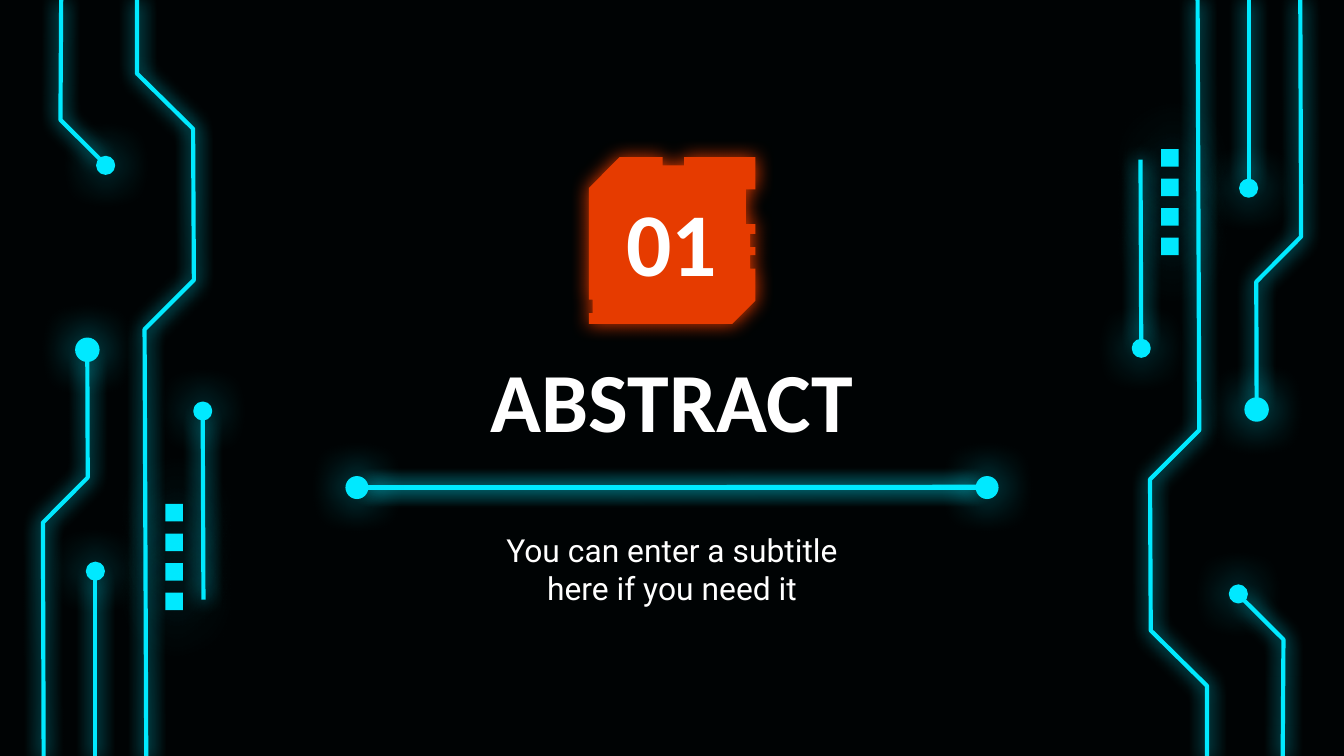
from dataclasses import dataclass

from lxml.etree import SubElement
from pptx import Presentation
from pptx.dml.color import RGBColor
from pptx.enum.shapes import MSO_CONNECTOR, MSO_SHAPE
from pptx.enum.text import MSO_ANCHOR, PP_ALIGN
from pptx.oxml.ns import qn
from pptx.util import Pt

Point = tuple[float, float]


@dataclass(frozen=True)
class Theme:
    background: str = "000304"
    cyan: str = "00E9FF"
    orange: str = "E63B00"
    white: str = "FFFFFF"
    heading_font: str = "Calibri"
    body_font: str = "Roboto"
    number_size: float = 48
    title_size: float = 45
    subtitle_size: float = 17


@dataclass(frozen=True)
class Glow:
    color: str
    blur: float
    alpha: int = 100
    distance: float = 0


@dataclass(frozen=True)
class Trace:
    points: tuple[Point, ...]


@dataclass(frozen=True)
class Dot:
    center: Point
    size: float = 8.7


@dataclass(frozen=True)
class Pad:
    center: Point
    size: float = 9.4


@dataclass(frozen=True)
class Label:
    text: str
    left: float
    top: float
    width: float
    height: float
    font: str
    size: float
    bold: bool = True
    anchor: MSO_ANCHOR = MSO_ANCHOR.MIDDLE


THEME = Theme()
WIDTH, HEIGHT = 720, 405
BLEED = 406.8  # the traces run just past the bottom edge
LINE_GLOW = Glow(THEME.cyan, 10.1)
DOT_GLOW = Glow(THEME.cyan, 22.5)
PAD_GLOW = Glow(THEME.cyan, 36, 70, 1.5)
CHIP_GLOW = Glow(THEME.orange, 10.1)

TRACES = [
    Trace(((78.4, BLEED), (77.5, 176.4), (103.9, 150), (103.5, 69), (73.4, 39.4), (73.4, 0))),
    Trace(((51.1, BLEED), (51.1, 309))),
    Trace(((32.8, 0), (32.4, 64.2), (54, 85.7))),
    Trace(((23.4, BLEED), (23, 280), (47, 255.8), (46.8, 191.5))),
    Trace(((109, 321.2), (108.6, 223.2))),
]
DOTS = [
    Dot((46.8, 187.4), 11.6),
    Dot((56.6, 88.6)),
    Dot((108.6, 220.2)),
    Dot((51.1, 306)),
]
PADS = [Pad((93.3, 274.7 + 15.84 * row)) for row in range(4)]

CHIP = (
    (331.9, 84.2), (315.4, 100.8), (315.4, 160.6), (317.5, 160.6),
    (317.5, 167.8), (315.4, 167.8), (315.4, 173.5), (392.4, 173.5),
    (404.6, 161.3), (404.6, 144), (401.8, 144), (401.8, 136.8),
    (404.6, 136.8), (404.6, 132.5), (401.8, 132.5), (401.8, 125.3),
    (404.6, 125.3), (404.6, 120.2), (399.6, 120.2), (399.6, 101.5),
    (404.6, 101.5), (404.6, 84.2), (366.5, 84.2), (366.5, 88.6),
    (355, 88.6), (355, 84.2),
)
LABELS = [
    Label("ABSTRACT", 173.8, 187.2, 372.4, 53.3, THEME.heading_font, THEME.title_size),
    Label("You can enter a subtitle here if you need it", 247, 277.2, 226, 54.7,
          THEME.body_font, THEME.subtitle_size, False, MSO_ANCHOR.TOP),
    Label("01", 173.8, 96.5, 372.4, 64.8, THEME.heading_font, THEME.number_size),
]


def half_turn(point: Point) -> Point:
    """Map a point on the left circuit to its partner on the right one."""
    return WIDTH - point[0], BLEED - point[1]


def add_glow(shape, glow: Glow) -> None:
    """Append the effect list; call after the fill and line are set."""
    effects = SubElement(shape._element.spPr, qn("a:effectLst"))
    shadow = SubElement(effects, qn("a:outerShdw"), blurRad=str(Pt(glow.blur)),
                        dist=str(Pt(glow.distance)), dir="0", algn="bl", rotWithShape="0")
    color = SubElement(shadow, qn("a:srgbClr"), val=glow.color)
    SubElement(color, qn("a:alpha"), val=str(glow.alpha * 1000))


def fill_solid(shape, color: str) -> None:
    shape.fill.solid()
    shape.fill.fore_color.rgb = RGBColor.from_string(color)


def set_line(shape, width: float) -> None:
    shape.line.color.rgb = RGBColor.from_string(THEME.cyan)
    shape.line.width = Pt(width)


def add_outline(s, points: tuple[Point, ...], close: bool):
    vertices = [(Pt(x), Pt(y)) for x, y in points]
    builder = s.shapes.build_freeform(*vertices[0])
    builder.add_line_segments(vertices[1:], close=close)
    return builder.convert_to_shape()


def add_trace(s, trace: Trace) -> None:
    if len(trace.points) == 2:
        (x1, y1), (x2, y2) = trace.points
        sp = s.shapes.add_connector(MSO_CONNECTOR.STRAIGHT, Pt(x1), Pt(y1), Pt(x2), Pt(y2))
    else:
        sp = add_outline(s, trace.points, close=False)
        sp.fill.background()
    set_line(sp, 2.25)
    add_glow(sp, LINE_GLOW)


def add_centered(s, kind: MSO_SHAPE, center: Point, size: float):
    x, y = center
    sp = s.shapes.add_shape(kind, Pt(x - size / 2), Pt(y - size / 2), Pt(size), Pt(size))
    fill_solid(sp, THEME.cyan)
    return sp


def add_dot(s, dot: Dot) -> None:
    sp = add_centered(s, MSO_SHAPE.OVAL, dot.center, dot.size)
    set_line(sp, 1.5)
    add_glow(sp, DOT_GLOW)


def add_pad(s, pad: Pad) -> None:
    sp = add_centered(s, MSO_SHAPE.RECTANGLE, pad.center, pad.size)
    sp.line.fill.background()
    add_glow(sp, PAD_GLOW)


def add_circuit(s, turned: bool) -> None:
    place = half_turn if turned else tuple
    for trace in TRACES:
        add_trace(s, Trace(tuple(place(point) for point in trace.points)))
    for dot in DOTS:
        add_dot(s, Dot(place(dot.center), dot.size))
    for pad in PADS:
        add_pad(s, Pad(place(pad.center), pad.size))


def add_chip(s) -> None:
    sp = add_outline(s, CHIP, close=True)
    fill_solid(sp, THEME.orange)
    sp.line.fill.background()
    add_glow(sp, CHIP_GLOW)


def add_label(s, label: Label) -> None:
    box = s.shapes.add_textbox(Pt(label.left), Pt(label.top), Pt(label.width), Pt(label.height))
    tf = box.text_frame
    tf.word_wrap = True
    tf.vertical_anchor = label.anchor
    tf.margin_left = tf.margin_right = tf.margin_top = tf.margin_bottom = Pt(7.2)
    tf.text = label.text
    p = tf.paragraphs[0]
    p.alignment = PP_ALIGN.CENTER
    font = p.runs[0].font
    font.name, font.size, font.bold = label.font, Pt(label.size), label.bold
    font.color.rgb = RGBColor.from_string(THEME.white)


def add_divider(s) -> None:
    left, right, y = 191.2, 528.8, 261.2
    radius = 5.4
    for end_y in (y - 0.4, y):
        add_trace(s, Trace(((left + radius, y), (right - radius, end_y))))
    for x in (left, right):
        add_dot(s, Dot((x, y), 2 * radius))


def main() -> None:
    prs = Presentation()
    prs.slide_width, prs.slide_height = Pt(WIDTH), Pt(HEIGHT)
    s = prs.slides.add_slide(prs.slide_layouts[6])
    fill_solid(s.background, THEME.background)
    for turned in (False, True):
        add_circuit(s, turned)
    add_chip(s)
    for label in LABELS:
        add_label(s, label)
    add_divider(s)
    prs.save("out.pptx")


if __name__ == "__main__":
    main()
